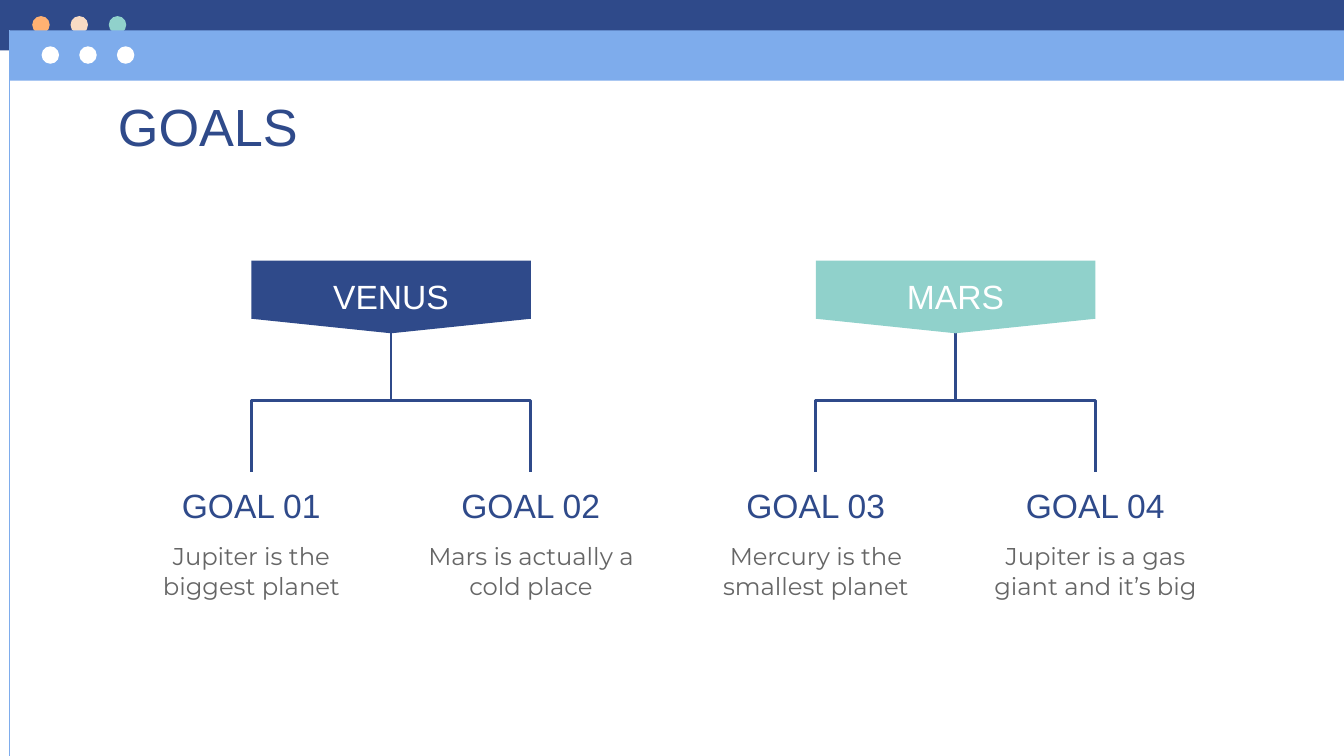
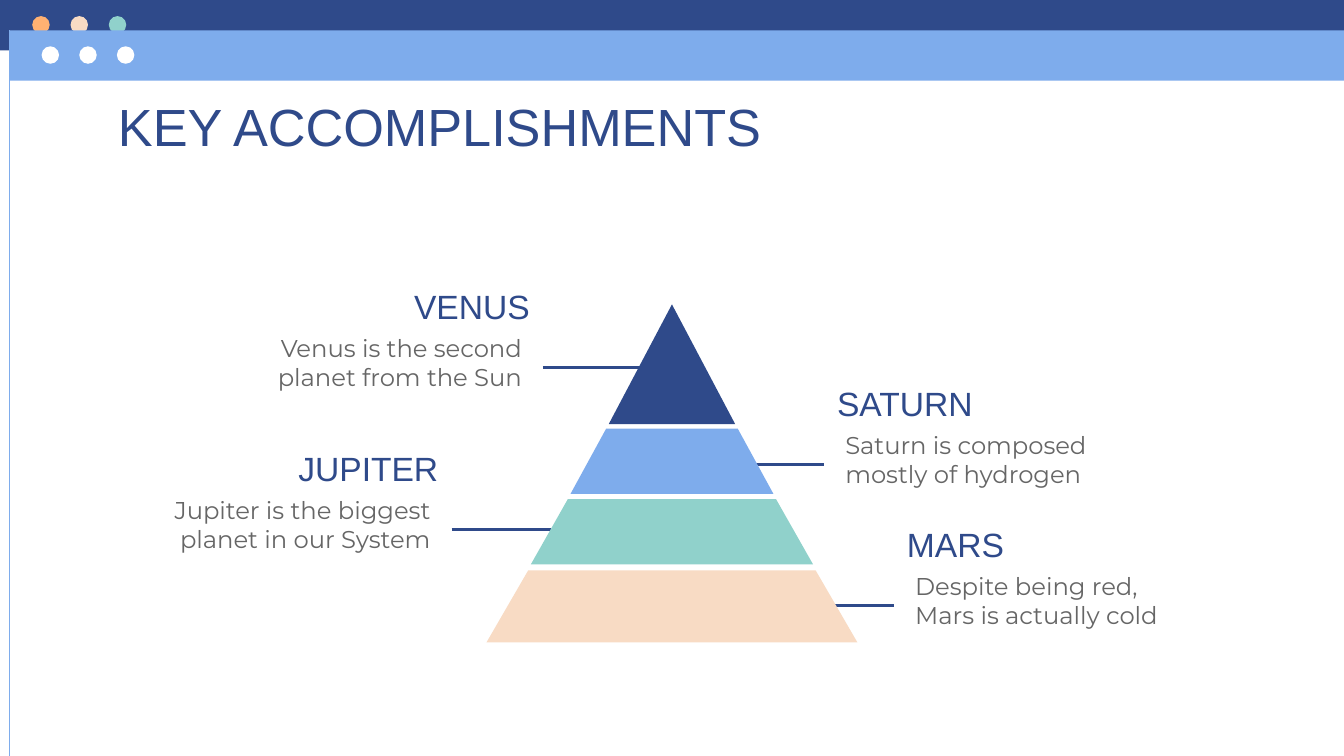
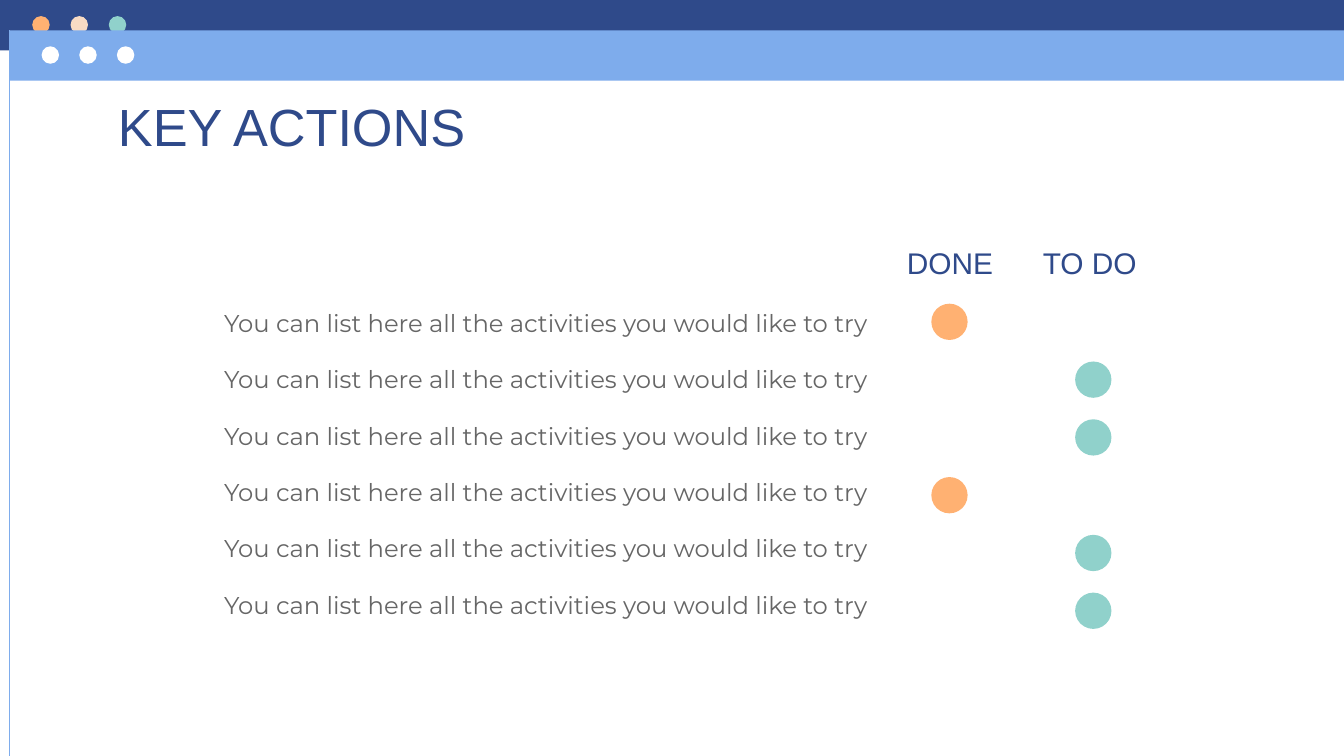
from dataclasses import dataclass

from lxml import etree
from pptx import Presentation
from pptx.dml.color import RGBColor
from pptx.enum.shapes import MSO_CONNECTOR, MSO_SHAPE
from pptx.enum.text import MSO_ANCHOR, PP_ALIGN
from pptx.oxml.ns import qn
from pptx.util import Inches, Pt


@dataclass(frozen=True)
class Theme:
    navy: str = "2F4A8A"
    blue: str = "7EACEC"
    teal: str = "90D1CB"
    peach: str = "F8DBC4"
    orange: str = "FFB172"
    white: str = "FFFFFF"
    gray: str = "666666"
    head_font: str = "Arial"
    body_font: str = "Montserrat"
    title: float = 28
    head: float = 18
    column: float = 16
    body: float = 13
    rule: float = 1.5
    frame: float = 0.75


T = Theme()
W = Inches(10)
H = W * 9 // 16
COLS, ROWS = 100, 56.25  # grid of square units
INSET = (1, 1, 1, 1)
LEFT, CENTER, RIGHT = PP_ALIGN.LEFT, PP_ALIGN.CENTER, PP_ALIGN.RIGHT
TOP, MIDDLE, BOTTOM = MSO_ANCHOR.TOP, MSO_ANCHOR.MIDDLE, MSO_ANCHOR.BOTTOM


def u(n):
    """Length of n grid units."""
    return round(n * W / COLS)


@dataclass(frozen=True)
class Box:
    x: float
    y: float
    w: float
    h: float

    def at(self, dx, dy, w, h):
        return Box(self.x + dx, self.y + dy, w, h)

    def emu(self):
        return [u(n) for n in (self.x, self.y, self.w, self.h)]


PAGE = Box(0, 0, COLS, ROWS)


# Shared helpers

def apply(obj, values):
    for name, value in values.items():
        setattr(obj, name, value)


def paint(sp, color):
    sp.shadow.inherit = False
    sp.fill.solid()
    sp.fill.fore_color.rgb = RGBColor.from_string(color)
    sp.line.fill.background()


def add_shape(s, kind, box, color):
    sp = s.shapes.add_shape(kind, *box.emu())
    paint(sp, color)
    return sp


def add_polygon(s, points, color):
    points = [(u(x), u(y)) for x, y in points]
    fb = s.shapes.build_freeform(*points[0], scale=1.0)
    fb.add_line_segments(points[1:], close=True)
    paint(fb.convert_to_shape(), color)


def add_line(s, kind, start, end, color=T.navy, width=T.rule):
    c = s.shapes.add_connector(kind, *[u(n) for n in (*start, *end)])
    c.line.color.rgb = RGBColor.from_string(color)
    c.line.width = Pt(width)
    etree.SubElement(c._element.spPr, qn("a:effectLst"))
    return c


def write(p, text, size, font, color, align):
    p.alignment = align
    r = p.add_run()
    r.text = text
    apply(r.font, {"size": Pt(size), "name": font, "bold": False})
    r.font.color.rgb = RGBColor.from_string(color)


def add_text(s, box, text, size=T.head, font=T.head_font, color=T.navy,
             align=LEFT, anchor=TOP, inset=INSET):
    sp = s.shapes.add_textbox(*box.emu())
    left, top, right, bottom = [u(n) for n in inset]
    apply(sp.text_frame, {
        "word_wrap": True, "vertical_anchor": anchor,
        "margin_left": left, "margin_top": top,
        "margin_right": right, "margin_bottom": bottom})
    write(sp.text_frame.paragraphs[0], text, size, font, color, align)
    return sp


# Window frame and title

def window_bar(s, box, color, dots, first, pitch):
    add_shape(s, MSO_SHAPE.RECTANGLE, box, color)
    for i, dot in enumerate(dots):
        add_shape(s, MSO_SHAPE.OVAL,
                  box.at(first + i * pitch, 1.2, 1.3, 1.3), dot)


def new_slide(prs, title):
    s = prs.slides.add_slide(prs.slide_layouts[6])
    window_bar(s, PAGE.at(0, 0, COLS, 3.75), T.navy,
               (T.orange, T.peach, T.teal), 2.4, 2.85)
    window_bar(s, PAGE.at(0.7, 2.25, COLS - 0.7, 3.75), T.blue,
               (T.white,) * 3, 2.4, 2.8)
    add_line(s, MSO_CONNECTOR.STRAIGHT, (0.7, 2.25), (0.7, ROWS),
             T.blue, T.frame)
    add_text(s, PAGE.at(7.8, 6, 84.4, 5.1), title, T.title)
    return s


# Goals: a badge branching into two goals

def branch(s, parent, child, to_right):
    c = add_line(s, MSO_CONNECTOR.ELBOW, (0, 0), (1, 1))
    c.begin_connect(parent, 2)
    c.end_connect(child, 0)
    # Turn the elbow so that it leaves the badge downwards
    dx, dy = abs(c.end_x - c.begin_x), c.end_y - c.begin_y
    mid_x, mid_y = (c.begin_x + c.end_x) // 2, (c.begin_y + c.end_y) // 2
    apply(c, {"left": mid_x - dy // 2, "top": mid_y - dx // 2,
              "width": dy, "height": dx})
    xfrm = c._element.spPr.xfrm
    apply(xfrm, {"flipH": to_right, "rot": 270.0 if to_right else 90.0})
    s.shapes._spTree.insert(2, c._element)


def goal_tree(s, box, name, color, goals):
    step, width = 20.8, 18.6
    add_shape(s, MSO_SHAPE.FLOWCHART_OFFPAGE_CONNECTOR,
              box.at(width / 2, 0, step, 5.4), color)
    badge = add_text(s, box.at(step / 2, 0.2, width, 4.9), name,
                     color=T.white, align=CENTER, anchor=BOTTOM)
    for i, (goal, text, text_width) in enumerate(goals):
        x = i * step
        label = add_text(s, box.at(x, 15.7, width, 4.9), goal,
                         align=CENTER, anchor=MIDDLE)
        add_text(s, box.at(x + (width - text_width) / 2, 19.9,
                           text_width, 6.9),
                 text, T.body, T.body_font, T.gray, CENTER)
        branch(s, badge, label, i == 1)


def goals_slide(prs):
    s = new_slide(prs, "GOALS")
    goal_tree(s, PAGE.at(9.4, 19.4, 39.4, 26.8), "VENUS", T.navy, [
        ("GOAL 01", "Jupiter is the biggest planet", 18.6),
        ("GOAL 02", "Mars is actually a cold place", 18.6)])
    goal_tree(s, PAGE.at(51.4, 19.4, 39.4, 26.8), "MARS", T.teal, [
        ("GOAL 03", "Mercury is the smallest planet", 18.6),
        ("GOAL 04", "Jupiter is a gas giant and it’s big", 20)])


# Accomplishments: a pyramid with callouts

def callout(s, box, name, text, line_end, on_left):
    align = RIGHT if on_left else LEFT
    inset = (0, 0, 1.6, 0.8) if on_left else (1.6, 0, 0, 0.8)
    add_text(s, box.at(0, -4.2, box.w, 4.1), name, align=align)
    sp = add_text(s, box, text, T.body, T.body_font, T.gray,
                  align, MIDDLE, inset)
    c = add_line(s, MSO_CONNECTOR.STRAIGHT, (0, 0),
                 (line_end, box.y + box.h / 2))
    c.begin_connect(sp, 3 if on_left else 1)


def pyramid(s, box):
    mid = box.x + box.w / 2
    # top, bottom, half width at the top, half width at the bottom
    tiers = [(0, 8.9, 0, 4.7, T.navy),
             (9.25, 14.1, 4.9, 7.55, T.blue),
             (14.5, 19.35, 7.75, 10.5, T.teal),
             (19.8, 25.15, 10.7, 13.8, T.peach)]
    for top, bottom, half_top, half_bottom, color in tiers:
        y1, y2 = box.y + top, box.y + bottom
        add_polygon(s, [(mid - half_top, y1), (mid - half_bottom, y2),
                        (mid + half_bottom, y2), (mid + half_top, y1)], color)


def accomplishments_slide(prs):
    s = new_slide(prs, "KEY ACCOMPLISHMENTS")
    for x, y, name, text, line_end, on_left in [
            (18.9, 24.5, "VENUS", "Venus is the second planet from the Sun",
             49.1, True),
            (61.3, 31.7, "SATURN", "Saturn is composed mostly of hydrogen",
             55, False),
            (12.1, 36.55, "JUPITER",
             "Jupiter is the biggest planet in our System", 41, True),
            (66.5, 42.2, "MARS", "Despite being red, Mars is actually cold",
             60.3, False)]:
        callout(s, PAGE.at(x, y, 21.5, 5.7), name, text, line_end, on_left)
    pyramid(s, PAGE.at(36.2, 22.65, 27.6, 25.15))


# Actions: a checklist table with status dots

def checklist(s, box, items):
    n_rows, n_cols, text_cols = len(items) + 1, 7, 5
    tbl = s.shapes.add_table(n_rows, n_cols, *box.emu()).table
    apply(tbl, {"first_row": False, "horz_banding": False})
    for col in tbl.columns:
        col.width = u(box.w / n_cols)
    for row in tbl.rows:
        row.height = u(box.h / n_rows)
    for cell in tbl.iter_cells():
        cell.fill.background()
        apply(cell, {"vertical_anchor": MIDDLE, **{
            f"margin_{side}": u(1)
            for side in ("left", "top", "right", "bottom")}})
        # Small type in empty cells keeps the rows low
        end = cell.text_frame.paragraphs[0]._p.get_or_add_endParaRPr()
        end.set("sz", str(T.body * 100))
    for i in range(n_rows):
        tbl.cell(i, 0).merge(tbl.cell(i, text_cols - 1))
    for j, name in enumerate(("DONE", "TO DO"), text_cols):
        write(tbl.cell(0, j).text_frame.paragraphs[0], name,
              T.column, T.head_font, T.navy, CENTER)
    for i, (text, done) in enumerate(items):
        write(tbl.cell(i + 1, 0).text_frame.paragraphs[0], text,
              T.body, T.body_font, T.gray, RIGHT)
        x, color = (55.8, T.orange) if done else (66.5, T.teal)
        add_shape(s, MSO_SHAPE.OVAL,
                  box.at(x, 5.3 + 4.3 * i, 2.7, 2.7), color)


def actions_slide(prs):
    s = new_slide(prs, "KEY ACTIONS")
    action = "You can list here all the activities you would like to try"
    status = (True, False, False, True, False, False)
    checklist(s, PAGE.at(13.5, 17.3, 72.8, 29.4),
              [(action, done) for done in status])


def main():
    prs = Presentation()
    apply(prs, {"slide_width": W, "slide_height": H})
    goals_slide(prs)
    accomplishments_slide(prs)
    actions_slide(prs)
    prs.save("out.pptx")


if __name__ == "__main__":
    main()
